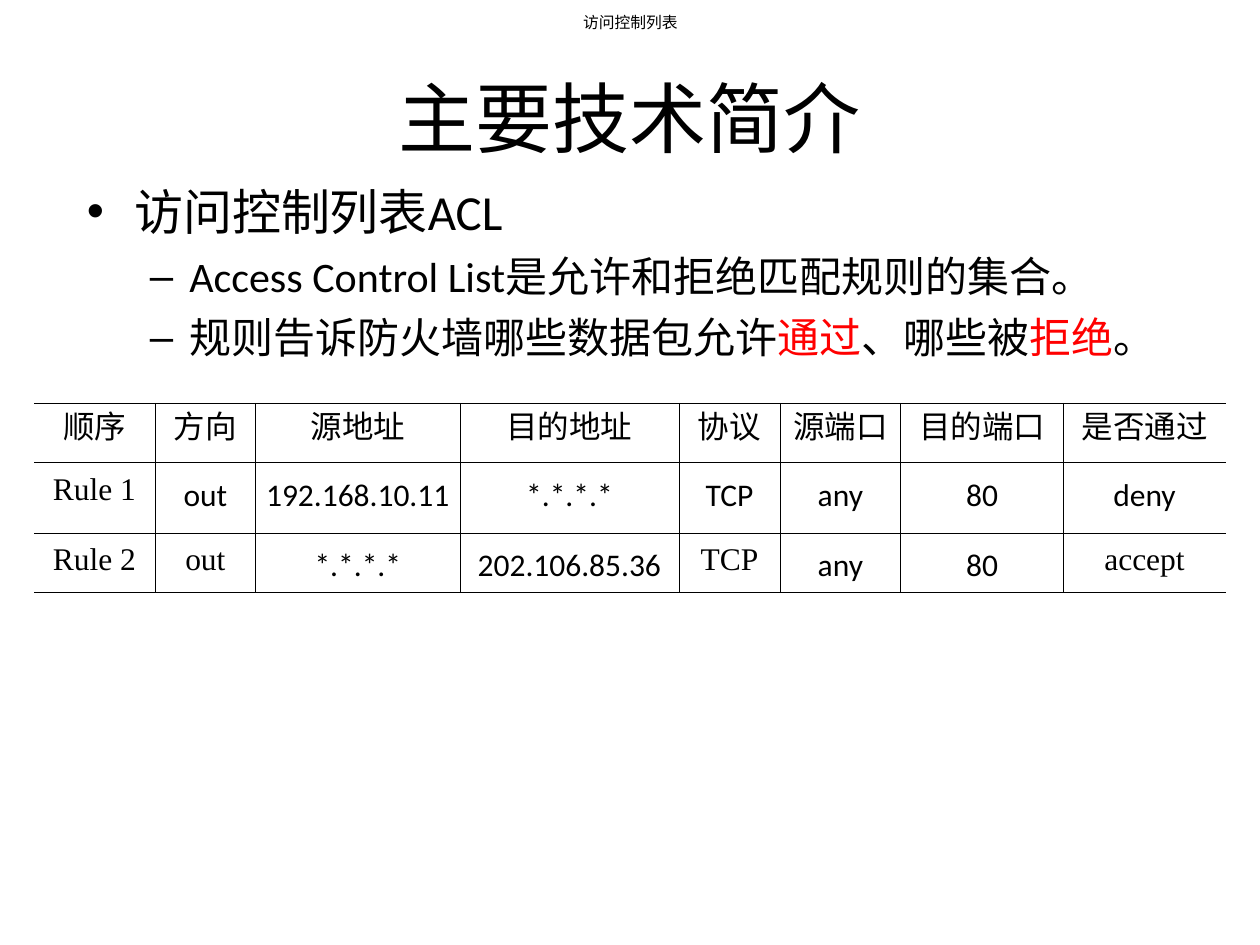
"""Build the slide on access control lists."""
from lxml.etree import SubElement
from pptx import Presentation
from pptx.dml.color import RGBColor
from pptx.enum.text import MSO_ANCHOR, MSO_AUTO_SIZE, PP_ALIGN
from pptx.oxml import parse_xml
from pptx.oxml.ns import nsdecls, qn
from pptx.util import Inches, Pt

BLACK = RGBColor(0, 0, 0)
RED = RGBColor(255, 0, 0)
SANS, SERIF = "Calibri", "Times New Roman"

HEAD = "访问控制列表"
TITLE = "主要技术简介"
POINTS = [
    (0, 28, [("访问控制列表ACL", BLACK)]),
    (1, 24, [("Access Control List是允许和拒绝匹配规则的集合。", BLACK)]),
    (1, 24, [("规则告诉防火墙哪些数据包允许", BLACK), ("通过", RED),
             ("、哪些被", BLACK), ("拒绝", RED), ("。", BLACK)]),
]
RULES = [
    ["顺序", "方向", "源地址", "目的地址", "协议", "源端口", "目的端口", "是否通过"],
    ["Rule 1", "out", "192.168.10.11", "*.*.*.*", "TCP", "any", "80", "deny"],
    ["Rule 2", "out", "*.*.*.*", "202.106.85.36", "TCP", "any", "80", "accept"],
]
SERIFS = [set(range(8)), {0}, {0, 1, 4, 7}]
COLS = [0.96, 0.8, 1.62, 1.74, 0.8, 0.96, 1.29, 1.29]
ROWS = [0.47, 0.56, 0.47]


def place(shape, *box):
    shape.left, shape.top, shape.width, shape.height = map(Inches, box)


def write(para, text, size, face=SANS, color=BLACK):
    run = para.add_run()
    run.text = text
    run.font.size = Pt(size)
    run.font.name = face
    run.font.color.rgb = color


def rule(cell, col):
    cell.fill.background()
    props = cell._tc.get_or_add_tcPr()
    bare = {0: "L", len(COLS) - 1: "R"}.get(col)
    for spot, side in enumerate("LRTB"):
        line = parse_xml(f'<a:ln{side} {nsdecls("a")} w="{Pt(0.45)}"/>')
        if side == bare:
            SubElement(line, qn("a:noFill"))
        else:
            fill = SubElement(line, qn("a:solidFill"))
            SubElement(fill, qn("a:srgbClr"), val=str(BLACK))
        props.insert(spot, line)


def add_list(body):
    place(body, 0.59, 1.39, 9, 1.53)
    frame = body.text_frame
    frame.auto_size = MSO_AUTO_SIZE.NONE
    for i, (level, size, runs) in enumerate(POINTS):
        para = frame.add_paragraph() if i else frame.paragraphs[0]
        para.level = level
        para.space_before = Pt(6 if i else 0)
        for text, color in runs:
            write(para, text, size, color=color)


def add_rules(slide):
    box = map(Inches, (0.27, 3.2, sum(COLS), sum(ROWS)))
    table = slide.shapes.add_table(len(ROWS), len(COLS), *box).table
    table.first_row = table.horz_banding = False
    for col, width in zip(table.columns, COLS):
        col.width = Inches(width)
    for r, (row, height) in enumerate(zip(table.rows, ROWS)):
        row.height = Inches(height)
        for c, cell in enumerate(row.cells):
            rule(cell, c)
            cell.margin_left = cell.margin_right = Inches(0.08)
            serif = c in SERIFS[r]
            para = cell.text_frame.paragraphs[0]
            para.alignment = PP_ALIGN.CENTER
            para.line_spacing = Pt(22) if serif else 1.2
            write(para, RULES[r][c], 18, SERIF if serif else SANS)


def add_head(slide):
    box = slide.shapes.add_textbox(*map(Inches, (4.53, 0.05, 0.95, 0.4)))
    box.text_frame.word_wrap = False
    write(box.text_frame.paragraphs[0], HEAD, 9, SERIF)


def main():
    deck = Presentation()
    deck.slide_width, deck.slide_height = Inches(10), Inches(7.5)
    slide = deck.slides.add_slide(deck.slide_layouts[1])
    title, body = slide.placeholders
    place(title, 0.5, 0.3, 9, 1.25)
    title.text_frame.vertical_anchor = MSO_ANCHOR.MIDDLE
    para = title.text_frame.paragraphs[0]
    para.alignment = PP_ALIGN.CENTER
    write(para, TITLE, 44)
    add_list(body)
    add_rules(slide)
    add_head(slide)
    deck.save("out.pptx")


if __name__ == "__main__":
    main()
